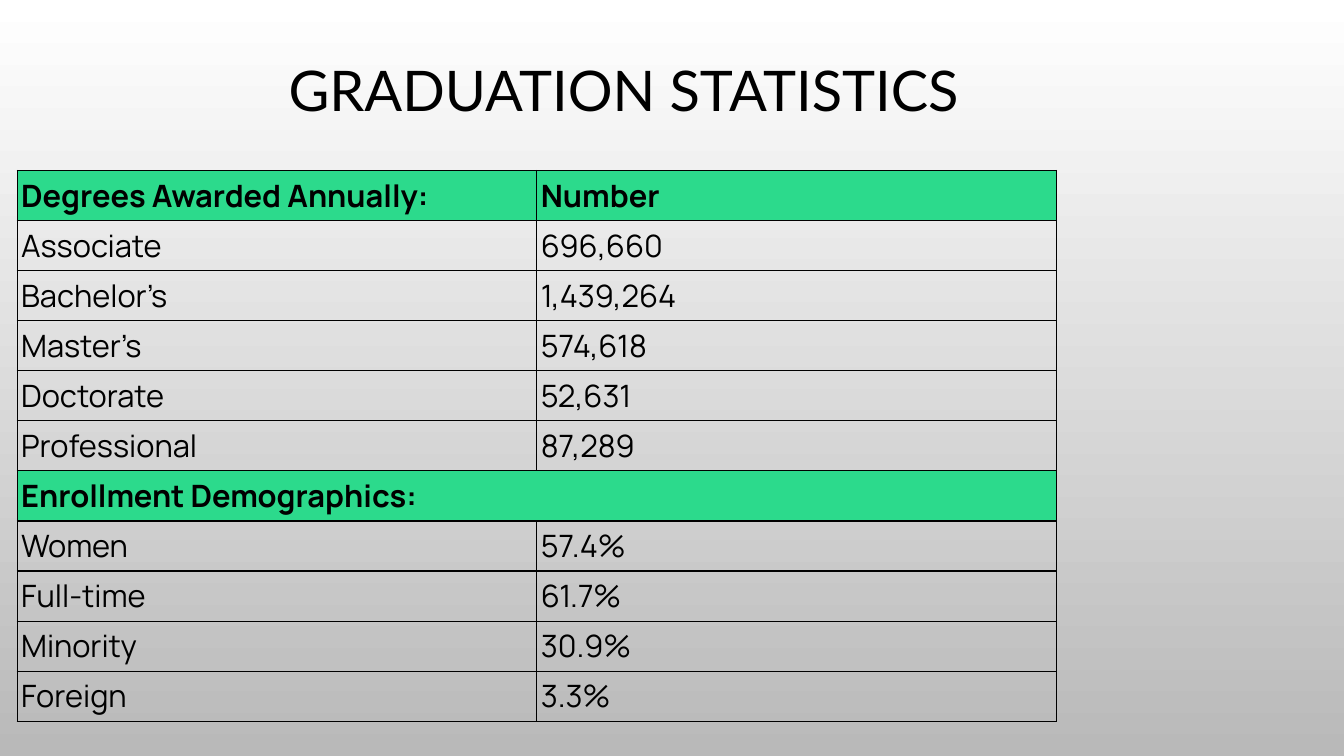
import pptx
import pptx.dml.color
import pptx.enum.text
import pptx.oxml
import pptx.oxml.ns
import pptx.util
from pptx.util import Inches

BLACK = "000000"
GREEN = "2CDA8C"
ROWS = [
    ("Degrees Awarded Annually:", "Number"),
    ("Associate", "696,660"),
    ("Bachelor’s", "1,439,264"),
    ("Master’s", "574,618"),
    ("Doctorate", "52,631"),
    ("Professional", "87,289"),
    ("Enrollment Demographics:",),
    ("Women", "57.4%"),
    ("Full-time", "61.7%"),
    ("Minority", "30.9%"),
    ("Foreign", "3.3%"),
]
HEADER_ROWS = (0, 6)


def rgb(hex_color):
    return pptx.dml.color.RGBColor.from_string(hex_color)


def set_font(p, name, size, bold=False):
    p.font.name = name
    p.font.size = pptx.util.Pt(size)
    p.font.bold = bold
    p.font.color.rgb = rgb(BLACK)


def set_background(slide, top, bottom):
    fill = slide.background.fill
    fill.gradient()
    fill.gradient_angle = 270
    for stop, position, color in zip(fill.gradient_stops, (0, 1), (top, bottom)):
        stop.position = position
        stop.color.rgb = rgb(color)


def add_title(slide, text):
    sp = slide.shapes.add_textbox(Inches(2.67), Inches(0.17), Inches(7.03), Inches(1.11))
    tf = sp.text_frame
    tf.word_wrap = True
    tf.vertical_anchor = pptx.enum.text.MSO_ANCHOR.BOTTOM
    p = tf.paragraphs[0]
    p.text = text
    p.alignment = pptx.enum.text.PP_ALIGN.CENTER
    p.line_spacing = 0.9
    set_font(p, "Lato", 40)


def add_borders(cell, color, width):
    """Line all four sides; must run before the cell's fill is set."""
    tc_pr = cell._tc.get_or_add_tcPr()
    for side in ("lnL", "lnR", "lnT", "lnB"):
        tc_pr.append(pptx.oxml.parse_xml(
            f'<a:{side} {pptx.oxml.ns.nsdecls("a")} w="{pptx.util.Pt(width)}">'
            f'<a:solidFill><a:srgbClr val="{color}"/></a:solidFill></a:{side}>'))


def style_cell(cell, is_header):
    cell.margin_left = cell.margin_right = Inches(0.04)
    cell.margin_top = cell.margin_bottom = Inches(0.04)
    add_borders(cell, BLACK, 1)
    if is_header:
        cell.fill.solid()
        cell.fill.fore_color.rgb = rgb(GREEN)
    else:
        cell.fill.background()
    set_font(cell.text_frame.paragraphs[0], "Manrope", 22, is_header)


def add_statistics_table(slide):
    row_height = Inches(0.44)
    table = slide.shapes.add_table(
        len(ROWS), 2, Inches(0.17), Inches(1.69), Inches(10.31), row_height * len(ROWS)).table
    table.first_row = False
    table.horz_banding = False
    for i, texts in enumerate(ROWS):
        table.rows[i].height = row_height
        for cell, text in zip(table.rows[i].cells, texts):
            cell.text = text
        for cell in table.rows[i].cells:
            style_cell(cell, i in HEADER_ROWS)
        if len(texts) == 1:
            table.cell(i, 0).merge(table.cell(i, 1))


def main():
    prs = pptx.Presentation()
    prs.slide_width = Inches(13.33)
    prs.slide_height = Inches(7.5)
    slide = prs.slides.add_slide(prs.slide_layouts[6])
    set_background(slide, "FFFFFF", "B9B9B9")
    add_statistics_table(slide)
    add_title(slide, "GRADUATION STATISTICS")
    prs.save("out.pptx")


if __name__ == "__main__":
    main()
